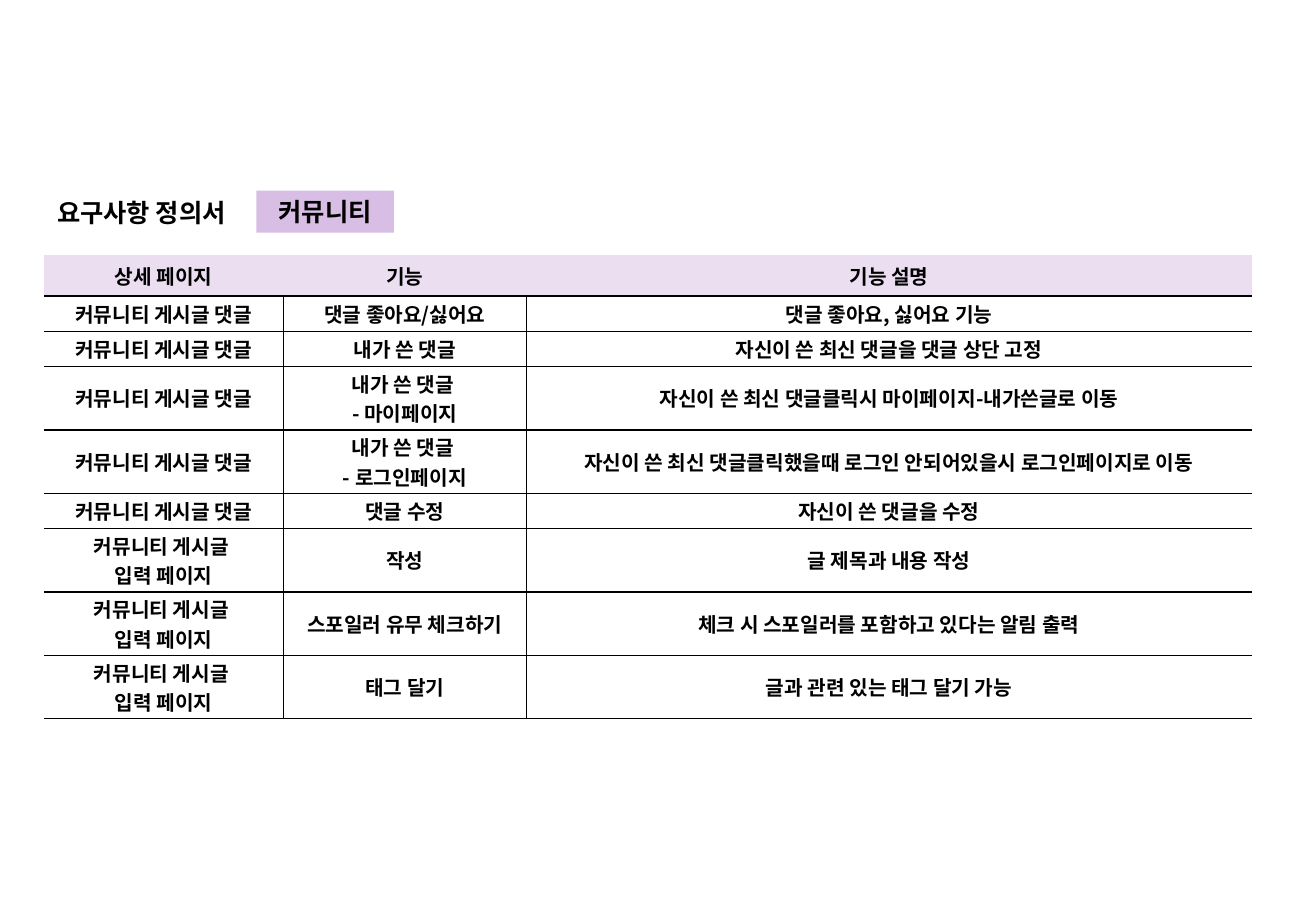
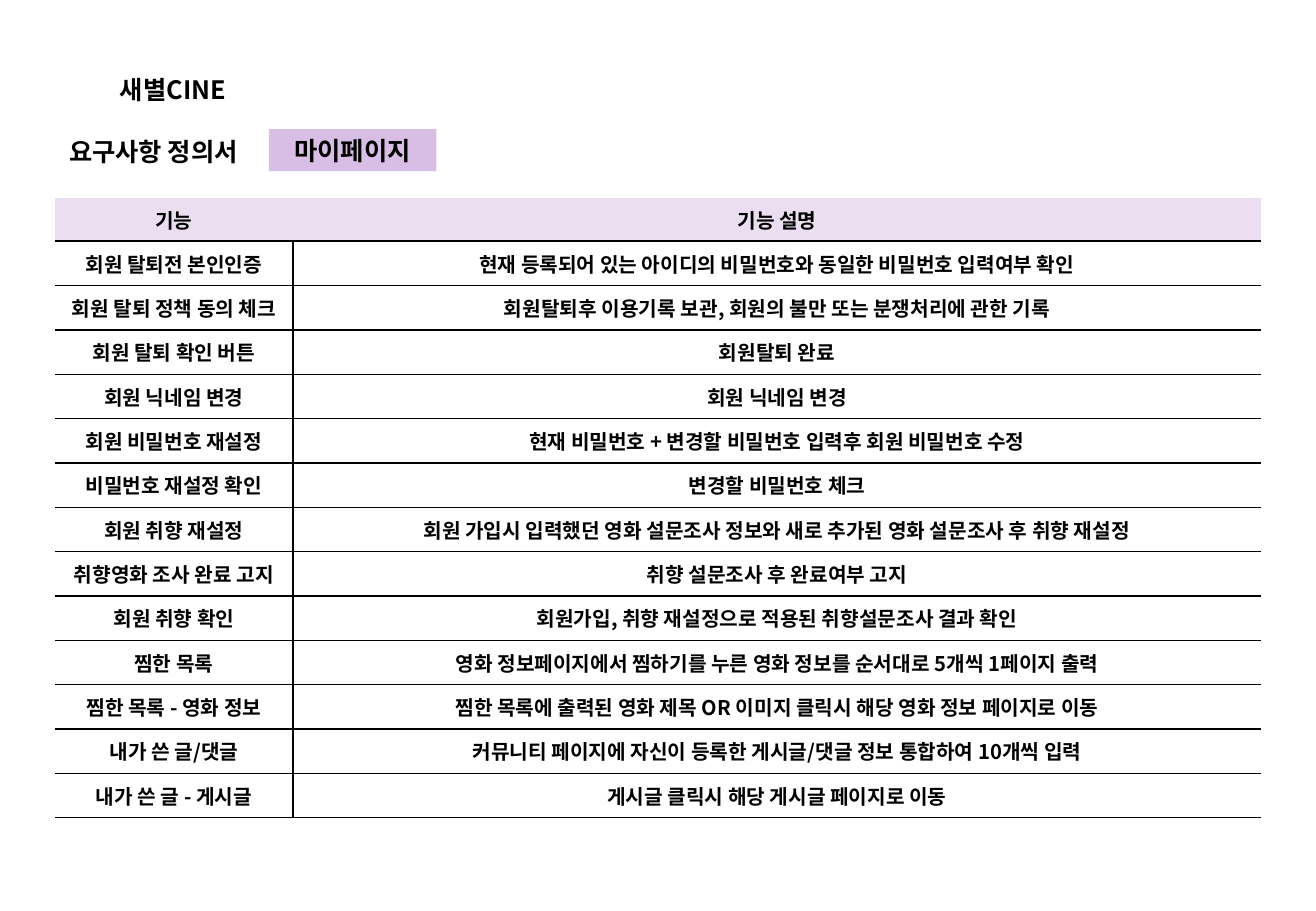
from lxml import etree
from pptx import Presentation
from pptx.dml.color import RGBColor
from pptx.enum.shapes import MSO_SHAPE
from pptx.enum.text import MSO_ANCHOR, MSO_AUTO_SIZE, PP_ALIGN
from pptx.oxml.ns import qn
from pptx.util import Pt

LEFT, CENTER = PP_ALIGN.LEFT, PP_ALIGN.CENTER
MIDDLE = MSO_ANCHOR.MIDDLE
FIXED_SIZE = MSO_AUTO_SIZE.NONE
RECTANGLE = MSO_SHAPE.RECTANGLE

BLACK = RGBColor(0x00, 0x00, 0x00)
CHIP_PURPLE = RGBColor(0xD8, 0xBE, 0xE4)
HEADER_PURPLE = RGBColor(0xEB, 0xDE, 0xF1)
FONT = "Noto Sans CJK KR"
TITLE_SIZE, TABLE_SIZE = 15, 12
LABEL_HEIGHT = 25
HEADER_RULE, ROW_RULE = 1.5, 1

COMMENTS = "커뮤니티 게시글 댓글"
POST_EDITOR = "커뮤니티 게시글 \n입력 페이지"

# Content of the pages; places are (left, top, width) in points
PAGES = [
    {
        "section": "커뮤니티",
        "title_at": (26.6, 113.5, 125),
        "chip_at": (152, 113, 81.5),
        "table_at": (26, 151),
        "columns": (142, 144, 430),
        "header_height": 20,
        "row_height": 20.8,
        "rows": [
            ("상세 페이지", "기능", "기능 설명"),
            (COMMENTS, "댓글 좋아요/싫어요", "댓글 좋아요, 싫어요 기능"),
            (COMMENTS, "내가 쓴 댓글", "자신이 쓴 최신 댓글을 댓글 상단 고정"),
            (COMMENTS, "내가 쓴 댓글 \n- 마이페이지",
             "자신이 쓴 최신 댓글클릭시 마이페이지-내가쓴글로 이동"),
            (COMMENTS, "내가 쓴 댓글 \n- 로그인페이지",
             "자신이 쓴 최신 댓글클릭했을때 로그인 안되어있을시 로그인페이지로 이동"),
            (COMMENTS, "댓글 수정", "자신이 쓴 댓글을 수정"),
            (POST_EDITOR, "작성", "글 제목과 내용 작성"),
            (POST_EDITOR, "스포일러 유무 체크하기",
             "체크 시 스포일러를 포함하고 있다는 알림 출력"),
            (POST_EDITOR, "태그 달기", "글과 관련 있는 태그 달기 가능"),
        ],
    },
    {
        "section": "마이페이지",
        "project": "새별CINE",
        "project_at": (64, 40.5, 90),
        "title_at": (33.8, 77, 125),
        "chip_at": (159.3, 76.5, 99.3),
        "table_at": (32.6, 117.4),
        "columns": (141, 574),
        "header_height": 25.6,
        "row_height": 26.3,
        "rows": [
            ("기능", "기능 설명"),
            ("회원 탈퇴전 본인인증",
             "현재 등록되어 있는 아이디의 비밀번호와 동일한 비밀번호 입력여부 확인"),
            ("회원 탈퇴 정책 동의 체크",
             "회원탈퇴후 이용기록 보관, 회원의 불만 또는 분쟁처리에 관한 기록"),
            ("회원 탈퇴 확인 버튼", "회원탈퇴 완료"),
            ("회원 닉네임 변경", "회원 닉네임 변경"),
            ("회원 비밀번호 재설정",
             "현재 비밀번호 + 변경할 비밀번호 입력후 회원 비밀번호 수정"),
            ("비밀번호 재설정 확인", "변경할 비밀번호 체크"),
            ("회원 취향 재설정",
             "회원 가입시 입력했던 영화 설문조사 정보와 새로 추가된 영화 설문조사 후 취향 재설정"),
            ("취향영화 조사 완료 고지", "취향 설문조사 후 완료여부 고지"),
            ("회원 취향 확인",
             "회원가입, 취향 재설정으로 적용된 취향설문조사 결과 확인"),
            ("찜한 목록",
             "영화 정보페이지에서 찜하기를 누른 영화 정보를 순서대로 5개씩 1페이지 출력"),
            ("찜한 목록 - 영화 정보",
             "찜한 목록에 출력된 영화 제목 OR 이미지 클릭시 해당 영화 정보 페이지로 이동"),
            ("내가 쓴 글/댓글",
             "커뮤니티 페이지에 자신이 등록한 게시글/댓글 정보 통합하여 10개씩 입력"),
            ("내가 쓴 글 - 게시글", "게시글 클릭시 해당 게시글 페이지로 이동"),
        ],
    },
]


def write_text(frame, text, *, size=TITLE_SIZE, align=CENTER):
    frame.text = text
    for paragraph in frame.paragraphs:
        paragraph.alignment = align
        for run in paragraph.runs:
            run.font.size = Pt(size)
            run.font.bold = True
            run.font.color.rgb = BLACK
            run.font.name = FONT
            east_asian = etree.SubElement(run.font._element, qn("a:ea"))
            east_asian.set("typeface", FONT)


def set_borders(cell, **widths):
    """Draw the sides L, R, T and B; a width of 0 leaves a side without a line."""
    properties = cell._tc.get_or_add_tcPr()
    for position, side in enumerate("LRTB"):
        line = etree.Element(qn(f"a:ln{side}"))
        if widths[side]:
            line.set("w", str(Pt(widths[side])))
            fill = etree.SubElement(line, qn("a:solidFill"))
            etree.SubElement(fill, qn("a:srgbClr")).set("val", str(BLACK))
        else:
            etree.SubElement(line, qn("a:noFill"))
        properties.insert(position, line)


prs = Presentation()
prs.slide_width, prs.slide_height = Pt(780), Pt(540)
title_only = prs.slide_layouts[5]

for page in PAGES:
    slide = prs.slides.add_slide(title_only)

    # Requirements table
    rows, columns = page["rows"], page["columns"]
    left, top = page["table_at"]
    heights = [page["header_height"]] + [page["row_height"]] * (len(rows) - 1)
    requirements = slide.shapes.add_table(
        len(rows), len(columns), Pt(left), Pt(top),
        Pt(sum(columns)), Pt(sum(heights))).table
    requirements.first_row = requirements.horz_banding = False
    for column, width in zip(requirements.columns, columns):
        column.width = Pt(width)

    for r, (texts, height) in enumerate(zip(rows, heights)):
        requirements.rows[r].height = Pt(height)
        for c, text in enumerate(texts):
            cell = requirements.cell(r, c)
            cell.vertical_anchor = MIDDLE
            write_text(cell.text_frame, text, size=TABLE_SIZE)
            if r == 0:
                cell.fill.solid()
                cell.fill.fore_color.rgb = HEADER_PURPLE
                set_borders(cell, L=0, R=0, T=0, B=HEADER_RULE)
            else:
                cell.fill.background()
                cell.margin_left = cell.margin_right = Pt(2.2)
                cell.margin_top = cell.margin_bottom = Pt(1.4)
                set_borders(
                    cell,
                    L=ROW_RULE if c > 0 else 0,
                    R=ROW_RULE if c < len(columns) - 1 else 0,
                    T=HEADER_RULE if r == 1 else ROW_RULE,
                    B=ROW_RULE)

    # Title, section chip and project name
    title = slide.shapes.title
    chip = slide.shapes.add_shape(RECTANGLE, 0, 0, 0, 0)
    chip.shadow.inherit = False
    chip.fill.solid()
    chip.fill.fore_color.rgb = CHIP_PURPLE
    chip.line.fill.background()
    labels = [(title, "요구사항 정의서", page["title_at"], LEFT),
              (chip, page["section"], page["chip_at"], CENTER)]
    if "project" in page:
        project = slide.shapes.add_textbox(0, 0, 0, 0)
        labels.append((project, page["project"], page["project_at"], LEFT))

    for label, text, (left, top, width), align in labels:
        label.left, label.top = Pt(left), Pt(top)
        label.width, label.height = Pt(width), Pt(LABEL_HEIGHT)
        frame = label.text_frame
        frame.word_wrap = True
        frame.auto_size = FIXED_SIZE
        frame.vertical_anchor = MIDDLE
        write_text(frame, text, align=align)

prs.save("out.pptx")
